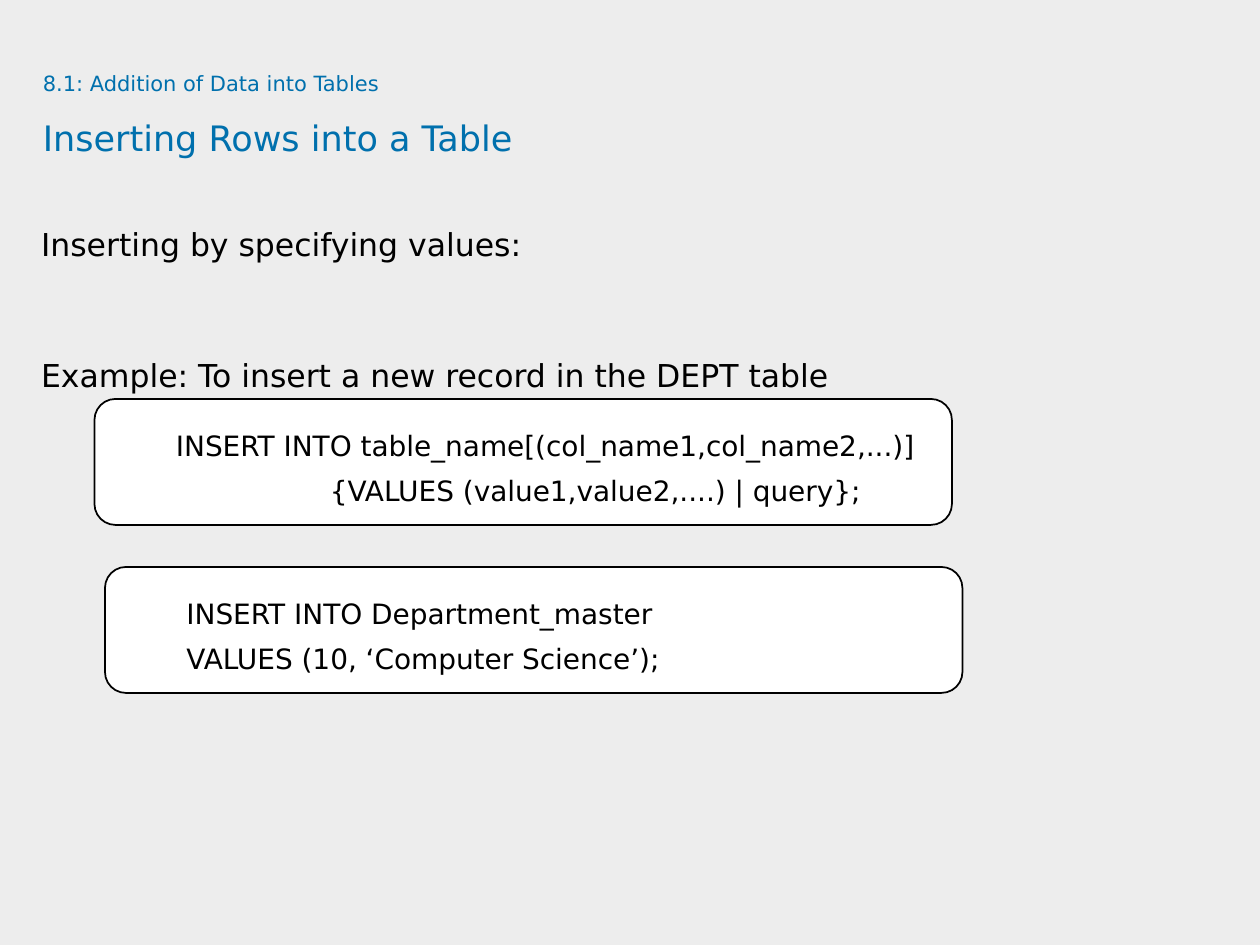
from pptx import Presentation
from pptx.dml.color import RGBColor
from pptx.enum.shapes import MSO_SHAPE
from pptx.enum.text import MSO_ANCHOR, MSO_AUTO_SIZE, PP_ALIGN
from pptx.oxml.ns import qn
from pptx.util import Pt

BLUE = RGBColor(0x00, 0x70, 0xAD)
BLACK = RGBColor(0, 0, 0)
WHITE = RGBColor(0xFF, 0xFF, 0xFF)
GREY = RGBColor(0xED, 0xED, 0xED)
FONT = "DejaVu Sans"

SECTION = "8.1: Addition of Data into Tables"
HEADING = "Inserting Rows into a Table"
STATEMENTS = [
    ("Inserting by specifying values:", 42),
    ("Example: To insert a new record in the DEPT table", 4.5),
]
CODE_BOXES = [
    (54, 228, [("INSERT INTO table_name[(col_name1,col_name2,...)]", 36),
               ("{VALUES (value1,value2,....) | query};", 124)]),
    (60, 324, [("INSERT INTO Department_master", 36),
               ("VALUES (10, ‘Computer Science’);", 36)]),
]
CODE_WIDTH, CODE_HEIGHT = 490, 72


def style_font(font, size, color):
    for key, value in {"name": FONT, "size": Pt(size), "bold": False}.items():
        setattr(font, key, value)
    font.color.rgb = color


def style_paragraph(paragraph, spacing, after=0, indent=0):
    properties = paragraph._p.get_or_add_pPr()
    properties.set("marL", str(Pt(indent)))
    properties.set("indent", "0")
    formats = {"alignment": PP_ALIGN.LEFT, "line_spacing": spacing,
               "space_before": Pt(0), "space_after": Pt(after)}
    for key, value in formats.items():
        setattr(paragraph, key, value)
    properties.append(properties.makeelement(qn("a:buNone"), {}))


def place(holder, left, top, width, height):
    holder.left, holder.top = Pt(left), Pt(top)
    holder.width, holder.height = Pt(width), Pt(height)
    frame = holder.text_frame
    formats = {"margin_left": 0, "margin_top": 0, "margin_right": 0,
               "margin_bottom": 0, "word_wrap": True,
               "vertical_anchor": MSO_ANCHOR.TOP,
               "auto_size": MSO_AUTO_SIZE.NONE}
    for key, value in formats.items():
        setattr(frame, key, value)
    return frame


def add_lines(frame, lines, size, spacing):
    for index, (text, after, indent) in enumerate(lines):
        paragraph = frame.add_paragraph() if index else frame.paragraphs[0]
        style_paragraph(paragraph, spacing, after, indent)
        run = paragraph.add_run()
        run.text = text
        style_font(run.font, size, BLACK)


def add_title(slide):
    paragraph = place(slide.shapes.title, 24.5, 33, 654.5, 67.7).paragraphs[0]
    style_paragraph(paragraph, 1.5)
    section = paragraph.add_run()
    section.text = SECTION
    style_font(section.font, 12, BLUE)
    paragraph.add_line_break()
    heading = paragraph.add_run()
    heading.text = HEADING
    style_font(heading.font, 20, BLUE)


def add_code_box(slide, left, top, code):
    box = slide.shapes.add_shape(MSO_SHAPE.ROUNDED_RECTANGLE, Pt(left), Pt(top),
                                 Pt(CODE_WIDTH), Pt(CODE_HEIGHT))
    box.shadow.inherit = False
    box.fill.solid()
    box.fill.fore_color.rgb = WHITE
    box.line.color.rgb = BLACK
    box.line.width = Pt(1)
    box.text_frame.vertical_anchor = MSO_ANCHOR.MIDDLE
    box.text_frame.word_wrap = True
    add_lines(box.text_frame, [(text, 0, indent) for text, indent in code], 16, 1.35)


def main():
    deck = Presentation()
    deck.slide_width, deck.slide_height = Pt(720), Pt(540)
    slide = deck.slides.add_slide(deck.slide_layouts[1])
    slide.background.fill.solid()
    slide.background.fill.fore_color.rgb = GREY

    add_title(slide)
    body = place(slide.placeholders[1], 23.5, 118, 696.5, 366)
    add_lines(body, [(text, after, 0) for text, after in STATEMENTS], 18, 1.5)
    for left, top, code in CODE_BOXES:
        add_code_box(slide, left, top, code)
    deck.save("out.pptx")


if __name__ == "__main__":
    main()
